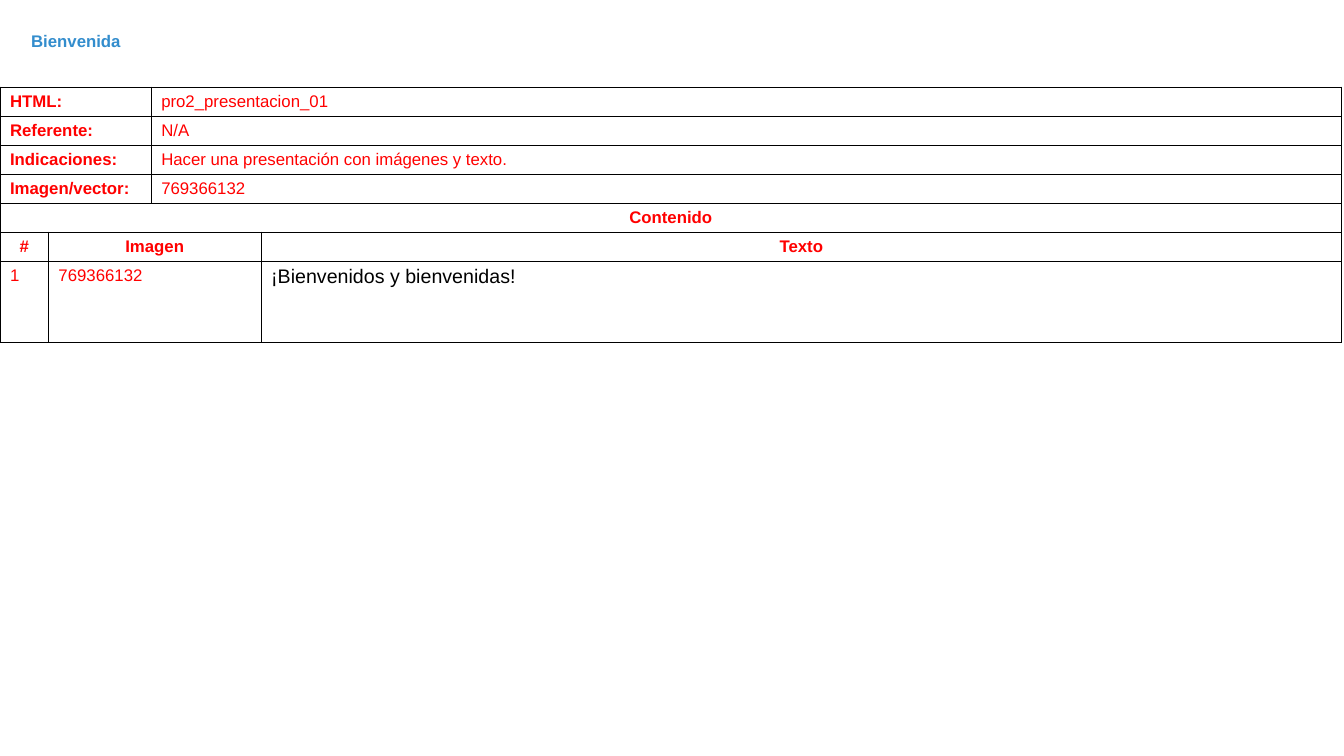
from lxml.etree import SubElement
from pptx import Presentation
from pptx.dml.color import RGBColor
from pptx.enum.text import MSO_ANCHOR, MSO_AUTO_SIZE, PP_ALIGN
from pptx.oxml.ns import qn
from pptx.util import Cm, Pt

COLORS = {"title": "338DCD", "label": "FF0000", "body": "000000",
          "border": "000000", "cell": "FFFFFF"}
COLUMN_WIDTHS = [1.22, 2.59, 2.77, 27.23]
LINE_HEIGHT = 0.73
ROW_HEIGHTS = [LINE_HEIGHT] * 6 + [2.06]
DETAILS = [
    ("HTML:", "pro2_presentacion_01"),
    ("Referente:", "N/A"),
    ("Indicaciones:", "Hacer una presentación con imágenes y texto."),
    ("Imagen/vector:", "769366132"),
]


def write_text(frame, text, size=12, color="label", bold=False, align=PP_ALIGN.LEFT):
    para = frame.paragraphs[0]
    para.alignment = align
    span = para.add_run()
    span.text = text
    span.font.name = "Arial"
    span.font.size = Pt(size)
    span.font.bold = bold
    span.font.color.rgb = RGBColor.from_string(COLORS[color])


def add_title(page, text):
    title = page.shapes.title
    title.left, title.top, title.width, title.height = Cm(0.53), Cm(0.64), Cm(32.72), Cm(2.31)
    frame = title.text_frame
    frame.word_wrap = True
    frame.auto_size = MSO_AUTO_SIZE.NONE
    frame.vertical_anchor = MSO_ANCHOR.TOP
    write_text(frame, text, color="title", bold=True, align=PP_ALIGN.JUSTIFY)


def style_cell(cell):
    properties = cell._tc.get_or_add_tcPr()
    for side in ("a:lnL", "a:lnR", "a:lnT", "a:lnB"):
        line = SubElement(properties, qn(side), w=str(Pt(1)))
        fill = SubElement(line, qn("a:solidFill"))
        SubElement(fill, qn("a:srgbClr"), val=COLORS["border"])
    cell.fill.solid()
    cell.fill.fore_color.rgb = RGBColor.from_string(COLORS["cell"])


def add_grid(page):
    frame = page.shapes.add_table(
        len(ROW_HEIGHTS), len(COLUMN_WIDTHS), Cm(0), Cm(2.2),
        Cm(sum(COLUMN_WIDTHS)), Cm(sum(ROW_HEIGHTS)))
    table = frame.table
    table.first_row = False
    table.horz_banding = False
    for column, width in zip(table.columns, COLUMN_WIDTHS):
        column.width = Cm(width)
    for row, height in zip(table.rows, ROW_HEIGHTS):
        row.height = Cm(height)
    for cell in table.iter_cells():
        style_cell(cell)
    return table


def fill_cell(table, row, first, last, text, **text_format):
    cell = table.cell(row, first)
    if last > first:
        cell.merge(table.cell(row, last))
    write_text(cell.text_frame, text, **text_format)


def fill_grid(table):
    for row, (label, value) in enumerate(DETAILS):
        fill_cell(table, row, 0, 1, label, bold=True)
        fill_cell(table, row, 2, 3, value)
    heading = {"bold": True, "align": PP_ALIGN.CENTER}
    fill_cell(table, 4, 0, 3, "Contenido", **heading)
    fill_cell(table, 5, 0, 0, "#", **heading)
    fill_cell(table, 5, 1, 2, "Imagen", **heading)
    fill_cell(table, 5, 3, 3, "Texto", **heading)
    fill_cell(table, 6, 0, 0, "1")
    fill_cell(table, 6, 1, 2, "769366132")
    fill_cell(table, 6, 3, 3, "¡Bienvenidos y bienvenidas!",
              size=14, color="body", align=PP_ALIGN.JUSTIFY)


def main():
    deck = Presentation()
    deck.slide_width, deck.slide_height = Cm(33.87), Cm(19.05)
    page = deck.slides.add_slide(deck.slide_layouts[5])
    add_title(page, "Bienvenida")
    fill_grid(add_grid(page))
    deck.save("out.pptx")


if __name__ == "__main__":
    main()
